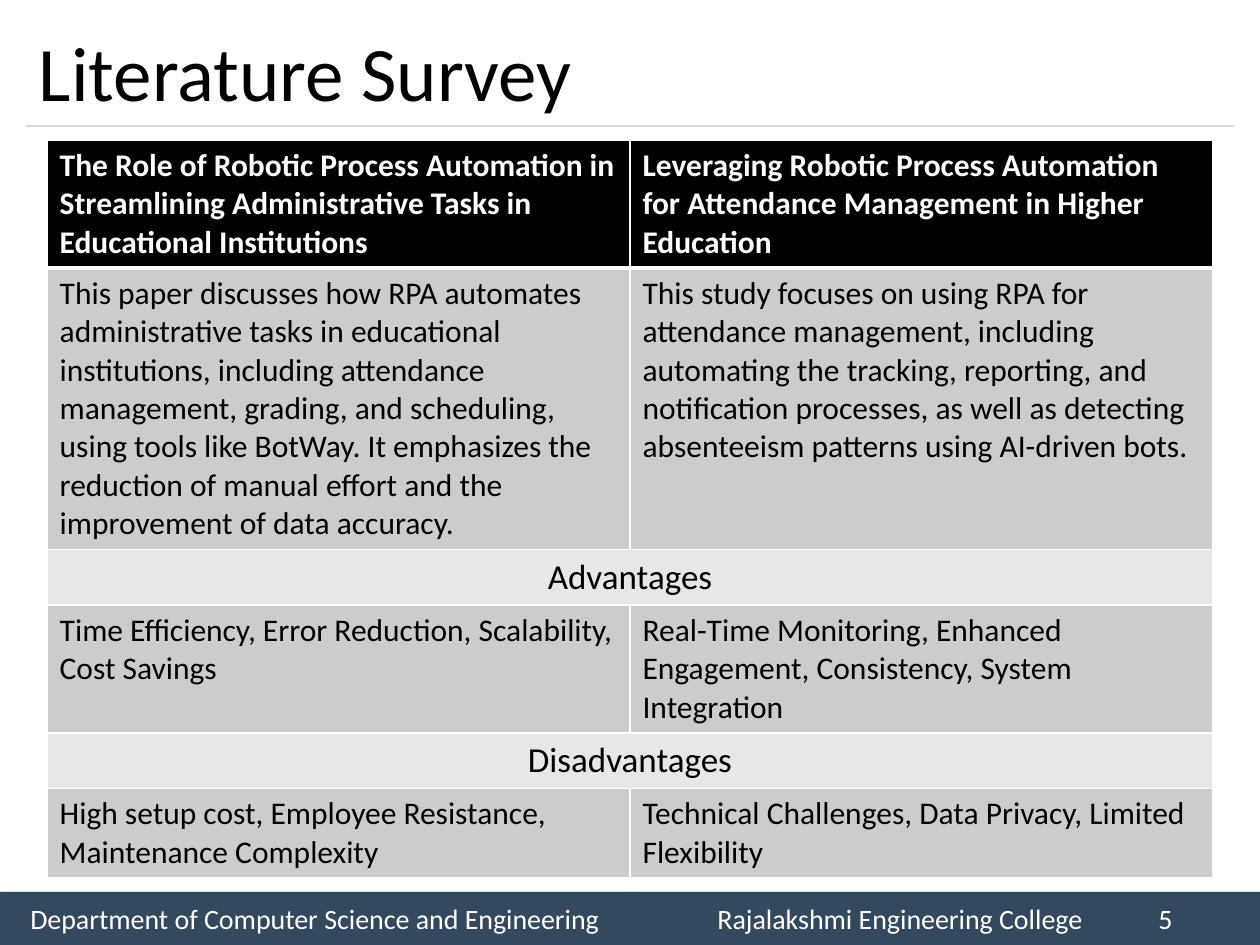
import pptx
import pptx.util
import pptx.dml.color
import pptx.enum.shapes
import pptx.enum.text
import pptx.oxml
import pptx.oxml.ns

Cm, Pt = pptx.util.Cm, pptx.util.Pt
ALIGN = pptx.enum.text.PP_ALIGN
MIDDLE = pptx.enum.text.MSO_ANCHOR.MIDDLE
NS = pptx.oxml.ns.nsdecls("a")


def color(code):
    return pptx.dml.color.RGBColor.from_string(code)


def style(para, size, code, bold=False, align=ALIGN.LEFT):
    para.alignment = align
    form = {"name": "Calibri", "size": Pt(size), "bold": bold}
    for key, value in form.items():
        setattr(para.font, key, value)
    para.font.color.rgb = color(code)


deck = pptx.Presentation()
deck.slide_width, deck.slide_height = Cm(25.4), Cm(19.05)
slide = deck.slides.add_slide(deck.slide_layouts[5])
shapes = slide.shapes

# Footer bars with a soft shadow
SHADOW = (f'<a:effectLst {NS}><a:outerShdw blurRad="50800" dist="38100" dir="2700000">'
          '<a:srgbClr val="000000"><a:alpha val="40000"/></a:srgbClr>'
          '</a:outerShdw></a:effectLst>')
notes = ["Department of Computer Science and Engineering",
         "Rajalakshmi Engineering College \t\t5"]
for i, text in enumerate(notes):
    bar = shapes.add_shape(pptx.enum.shapes.MSO_SHAPE.RECTANGLE,
                           Cm(12.7 * i), Cm(17.98), Cm(12.7), Cm(1.07))
    bar.fill.solid()
    bar.fill.fore_color.rgb = color("34495E")
    bar.line.fill.background()
    bar._element.spPr.append(pptx.oxml.parse_xml(SHADOW))
    frame = bar.text_frame
    frame.text = text
    frame.word_wrap = True
    frame.vertical_anchor = MIDDLE
    para = frame.paragraphs[0]
    style(para, 16, "FFFFFF", align=ALIGN.CENTER)
    para._p.get_or_add_pPr().set("marL", "0")
    para._p.get_or_add_pPr().set("indent", str(Cm(-0.95)))

# Rule under the title
rule = shapes.add_connector(pptx.enum.shapes.MSO_CONNECTOR.STRAIGHT,
                            Cm(0.53), Cm(2.54), Cm(24.87), Cm(2.54))
rule.line.color.rgb = color("D9D9D9")
rule.line.width = Pt(0.75)
rule._element.spPr.append(pptx.oxml.parse_xml(f"<a:effectLst {NS}/>"))

# Title
title = shapes.title
place = {"left": Cm(0.53), "top": Cm(0.3), "width": Cm(24.33), "height": Cm(2.24)}
for key, value in place.items():
    setattr(title, key, value)
title.text_frame.text = "Literature Survey"
title.text_frame.vertical_anchor = MIDDLE
title.text_frame.auto_size = pptx.enum.text.MSO_AUTO_SIZE.NONE
style(title.text_frame.paragraphs[0], 44, "000000")

# Survey table: a row with one text spans both columns
rows = [
    (2.39, ["The Role of Robotic Process Automation in Streamlining "
            "Administrative Tasks in Educational Institutions",
            "Leveraging Robotic Process Automation for Attendance "
            "Management in Higher Education"]),
    (5.28, ["This paper discusses how RPA automates administrative tasks in "
            "educational institutions, including attendance management, "
            "grading, and scheduling, using tools like BotWay. It emphasizes "
            "the reduction of manual effort and the improvement of data "
            "accuracy.",
            "This study focuses on using RPA for attendance management, "
            "including automating the tracking, reporting, and notification "
            "processes, as well as detecting absenteeism patterns using "
            "AI-driven bots."]),
    (0.97, ["Advantages"]),
    (2.39, ["Time Efficiency, Error Reduction, Scalability, Cost Savings",
            "Real-Time Monitoring, Enhanced Engagement, Consistency, "
            "System Integration"]),
    (0.97, ["Disadvantages"]),
    (1.68, ["High setup cost, Employee Resistance, Maintenance Complexity",
            "Technical Challenges, Data Privacy, Limited Flexibility"]),
]
table = shapes.add_table(len(rows), 2, Cm(0.95), Cm(2.82), Cm(23.5),
                         Cm(sum(high for high, _ in rows))).table
for col in table.columns:
    col.width = Cm(11.75)

for r, (high, texts) in enumerate(rows):
    table.rows[r].height = Cm(high)
    head, band = r == 0, len(texts) == 1
    if band:
        table.cell(r, 0).merge(table.cell(r, 1))
    edges = {"L": 1, "R": 1, "T": 3 if r == 1 else 1, "B": 3 if head else 1}
    for c in range(2):
        cell = table.cell(r, c)
        for side, width in edges.items():
            cell._tc.get_or_add_tcPr().append(pptx.oxml.parse_xml(
                f'<a:ln{side} {NS} w="{Pt(width)}"><a:solidFill>'
                f'<a:srgbClr val="FFFFFF"/></a:solidFill></a:ln{side}>'))
        cell.fill.solid()
        cell.fill.fore_color.rgb = color(
            "000000" if head else "E7E7E7" if band else "CCCCCC")
    for c, text in enumerate(texts):
        cell = table.cell(r, c)
        cell.text = text
        style(cell.text_frame.paragraphs[0], 20 if band else 18,
              "FFFFFF" if head else "000000", head,
              ALIGN.CENTER if band else ALIGN.LEFT)

deck.save("out.pptx")
